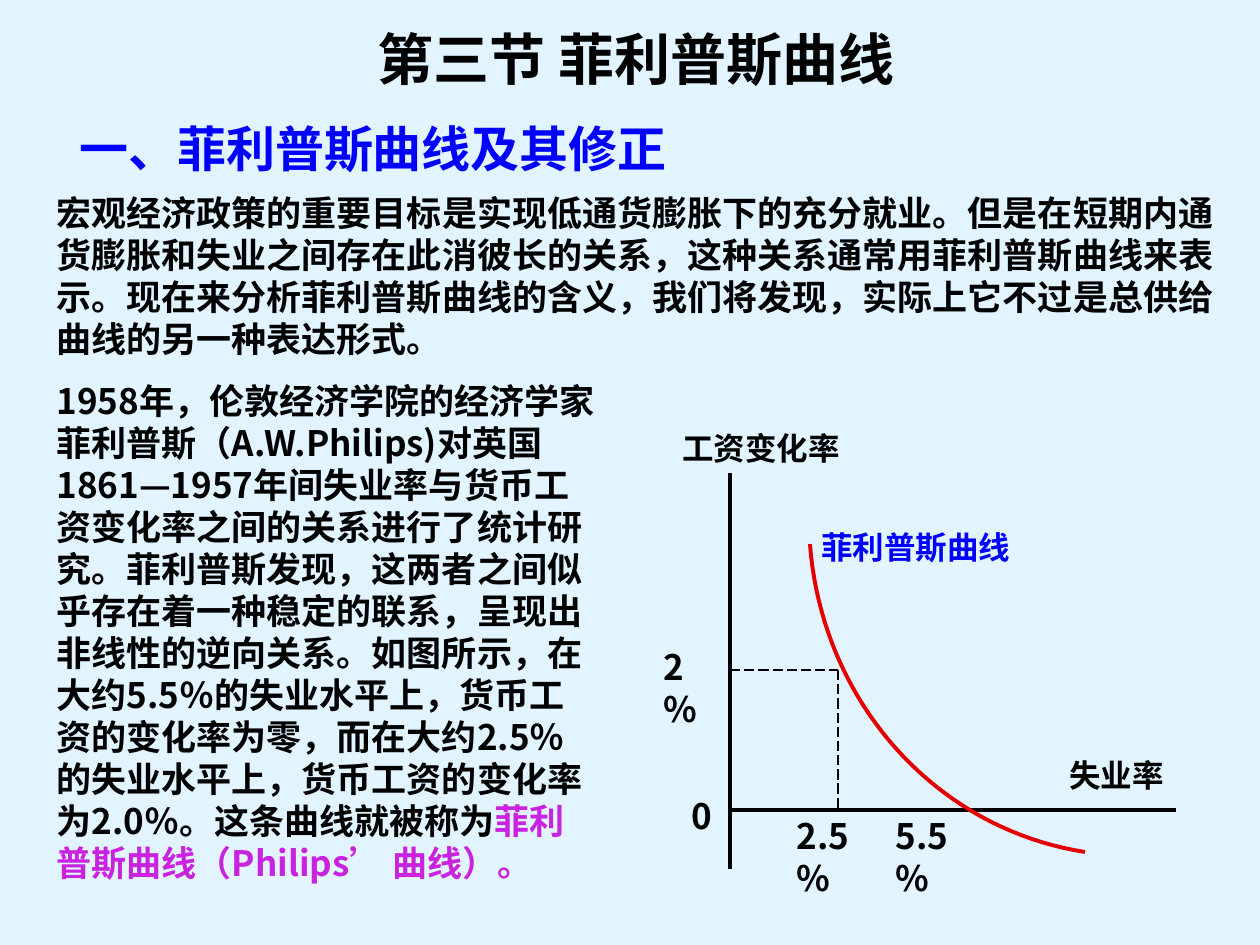
from pptx import Presentation
from pptx.dml.color import RGBColor
from pptx.enum.dml import MSO_LINE
from pptx.enum.shapes import MSO_CONNECTOR
from pptx.enum.text import MSO_ANCHOR, PP_ALIGN
from pptx.oxml.ns import qn
from pptx.util import Pt
from lxml import etree

STRAIGHT = MSO_CONNECTOR.STRAIGHT
DASH = MSO_LINE.LONG_DASH
MIDDLE = MSO_ANCHOR.MIDDLE
CENTER = PP_ALIGN.CENTER
FACE = "Noto Sans CJK SC"
BLACK, BLUE, PINK, RED = "000000", "0000FF", "C923DF", "E40000"
SCALE = 914400 / 126

TITLE = "第三节 菲利普斯曲线"
HEAD = "一、菲利普斯曲线及其修正"
INTRO = "宏观经济政策的重要目标是实现低通货膨胀下的充分就业。但是在短期内通货膨胀和失业之间存在此消彼长的关系，这种关系通常用菲利普斯曲线来表示。现在来分析菲利普斯曲线的含义，我们将发现，实际上它不过是总供给曲线的另一种表达形式。"
STORY = "1958年，伦敦经济学院的经济学家菲利普斯（A.W.Philips)对英国1861—1957年间失业率与货币工资变化率之间的关系进行了统计研究。菲利普斯发现，这两者之间似乎存在着一种稳定的联系，呈现出非线性的逆向关系。如图所示，在大约5.5％的失业水平上，货币工资的变化率为零，而在大约2.5％的失业水平上，货币工资的变化率为2.0％。这条曲线就被称为"
TERM = "菲利普斯曲线（Philips’ 曲线）。"

TEXTS = [
    ((74, 26, 1124, 79), [(TITLE, BLACK)], 32, True, {}, {"alignment": CENTER, "line_spacing": 0.9}),
    ((44, 352, 566, 559), [(STORY, BLACK), (TERM, PINK)], 20, True, {"vertical_anchor": MIDDLE}, {}),
    ((67, 112, 612, 72), [(HEAD, BLUE)], 28, False, {}, {}),
    ((44, 185, 1191, 181), [(INTRO, BLACK)], 20, True, {}, {}),
    ((670, 423, 183, 50), [("工资变化率", BLACK)], 18, False, {}, {}),
    ((1057, 750, 120, 50), [("失业率", BLACK)], 18, False, {}, {}),
    ((679, 788, 45, 55), [("0", BLACK)], 20, False, {}, {}),
    ((651, 639, 77, 55), [("2%", BLACK)], 20, True, {}, {}),
    ((784, 808, 107, 55), [("2.5%", BLACK)], 20, True, {}, {}),
    ((883, 808, 107, 55), [("5.5%", BLACK)], 20, True, {}, {}),
    ((809, 522, 214, 50), [("菲利普斯曲线", BLUE)], 18, False, {}, {}),
]

LEFT, BASE = 730, 810
MARK = (838, 670)
LINES = [
    ((LEFT, 473), (LEFT, 869), 2.25, None),
    ((LEFT, BASE), (1176, BASE), 2.25, None),
    ((LEFT, MARK[1]), MARK, 0.75, DASH),
    (MARK, (MARK[0], BASE), 0.75, DASH),
]
CURVE = [(1085, 852), (936, 829), (822, 702), (810, 544)]
STEPS = 40


def emu(px):
    return round(px * SCALE)


def color(code):
    return RGBColor.from_string(code)


def assign(item, values):
    for name, value in values.items():
        setattr(item, name, value)


def add_text(slide, box, runs, size, wrap, frame_format, para_format):
    frame = slide.shapes.add_textbox(*map(emu, box)).text_frame
    assign(frame, {"word_wrap": wrap, **frame_format})
    para = frame.paragraphs[0]
    assign(para, para_format)
    for text, code in runs:
        run = para.add_run()
        run.text = text
        assign(run.font, {"size": Pt(size), "bold": True, "name": FACE})
        run.font.color.rgb = color(code)
        latin = run.font._element.find(qn("a:latin"))
        east = etree.Element(qn("a:ea"), typeface=FACE)
        latin.addnext(east)


def add_line(slide, start, end, width, dash):
    line = slide.shapes.add_connector(STRAIGHT, *map(emu, start + end))
    line.line.color.rgb = color(BLACK)
    assign(line.line, {"width": Pt(width), "dash_style": dash})
    etree.SubElement(line._element.spPr, qn("a:effectLst"))


def bezier(t):
    weights = ((1 - t) ** 3, 3 * t * (1 - t) ** 2, 3 * t * t * (1 - t), t ** 3)
    return tuple(emu(sum(w * v for w, v in zip(weights, axis))) for axis in zip(*CURVE))


def add_curve(slide):
    points = [bezier(step / STEPS) for step in range(STEPS + 1)]
    path = slide.shapes.build_freeform(*points[0])
    path.add_line_segments(points[1:], close=False)
    curve = path.convert_to_shape()
    curve.shadow.inherit = False
    curve.fill.background()
    curve.line.color.rgb = color(RED)
    curve.line.width = Pt(2.25)


def main():
    deck = Presentation()
    assign(deck, {"slide_width": emu(1260), "slide_height": emu(945)})
    slide = deck.slides.add_slide(deck.slide_layouts[6])
    fill = slide.background.fill
    fill.solid()
    fill.fore_color.rgb = color("E1F4FF")
    for item in TEXTS:
        add_text(slide, *item)
    for item in LINES:
        add_line(slide, *item)
    add_curve(slide)
    deck.save("out.pptx")


if __name__ == "__main__":
    main()
